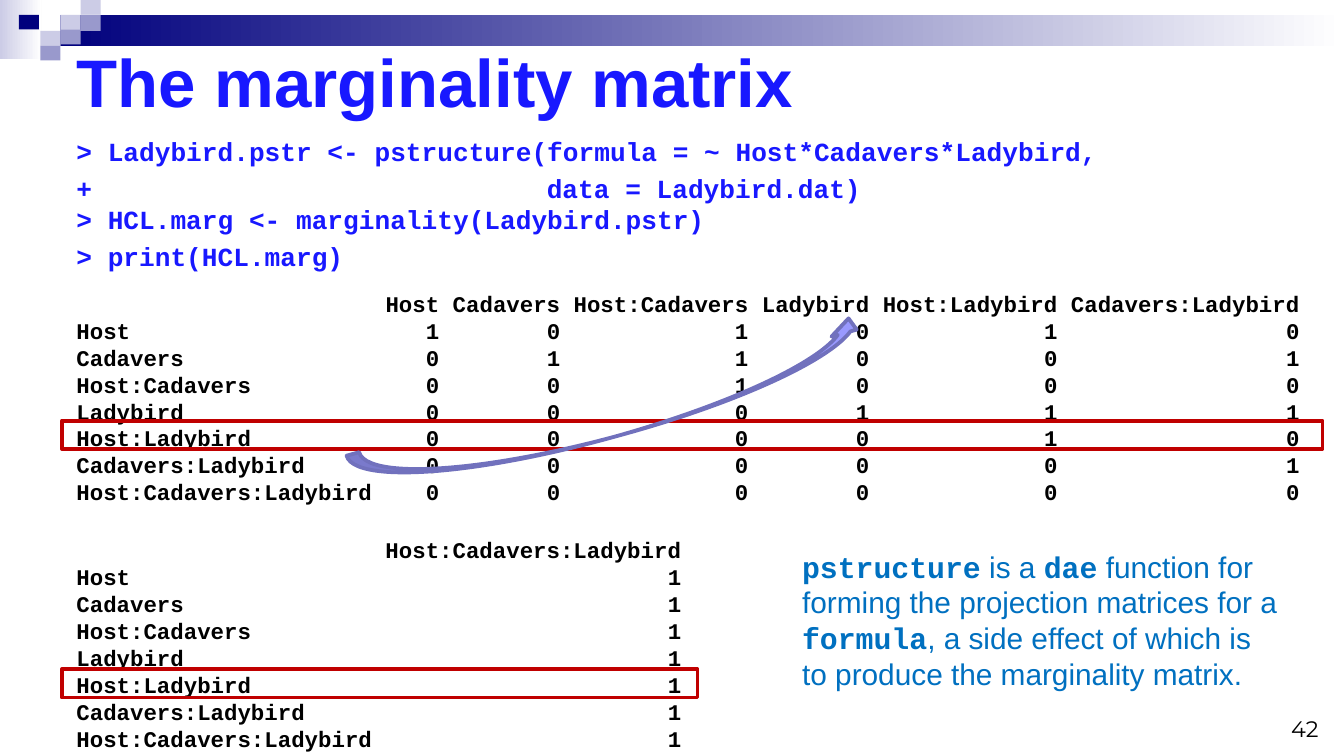
from pptx import Presentation
from pptx.dml.color import RGBColor
from pptx.enum.shapes import MSO_SHAPE
from pptx.enum.text import MSO_ANCHOR, MSO_AUTO_SIZE, PP_ALIGN
from pptx.oxml.ns import qn
from pptx.util import Inches, Pt
from lxml.etree import SubElement

BLACK = RGBColor(0, 0, 0)
WHITE = RGBColor(0xFF, 0xFF, 0xFF)
NAVY = RGBColor(0, 0, 0x7D)
PALE = RGBColor(0xCC, 0xCC, 0xE6)
LILAC = RGBColor(0x99, 0x99, 0xCC)
BLUE = RGBColor(0x18, 0x18, 0xFF)
AZURE = RGBColor(0, 0x70, 0xC0)
RED = RGBColor(0xC0, 0, 0)
VIOLET = RGBColor(0x99, 0x99, 0xFF)
EDGE = RGBColor(0x71, 0x71, 0xBD)
SANS, MONO = "Arial", "Courier New"

TERMS = ["Host", "Cadavers", "Host:Cadavers", "Ladybird", "Host:Ladybird",
         "Cadavers:Ladybird", "Host:Cadavers:Ladybird"]
CODE = [
    "> Ladybird.pstr <- pstructure(formula = ~ Host*Cadavers*Ladybird,",
    "+\tdata = Ladybird.dat)\v> HCL.marg <- marginality(Ladybird.pstr)",
    "> print(HCL.marg)",
]
NOTE = [("pstructure", True), (" is a ", False), ("dae", True),
        (" function for forming the projection matrices for a ", False),
        ("formula", True),
        (", a side effect of which is to produce the marginality matrix.", False)]
TILES = [(0.45, 0.11, 0.12, PALE), (0.6, 0, 0.11, PALE), (0.6, 0.11, 0.12, LILAC),
         (0.3, 0.23, 0.11, PALE), (0.14, 0.11, 0.11, NAVY),
         (0.45, 0.22, 0.11, LILAC), (0.3, 0.34, 0.11, LILAC)]


def style(run, font=SANS, size=12, color=BLACK, bold=False):
    run.font.name = font
    run.font.size = Pt(size)
    run.font.color.rgb = color
    run.font.bold = bold


def write(par, text, align=PP_ALIGN.LEFT, before=0, pitch=None, **form):
    par.text = text
    par.alignment = align
    par.space_before = Pt(before)
    par.line_spacing = pitch and Pt(pitch)
    for run in par.runs:
        style(run, **form)


def set_tabs(par, stops, side):
    tabs = SubElement(par._p.get_or_add_pPr(), qn("a:tabLst"))
    for stop in stops:
        SubElement(tabs, qn("a:tab"), pos=str(Inches(stop)), algn=side)


def matrix(cols):
    rows = ["\t" + "\t".join(cols)]
    for term in TERMS:
        parts = set(term.split(":"))
        marks = [str(int(parts <= set(col.split(":")))) for col in cols]
        rows.append("\t".join([term] + marks))
    return "\v".join(rows)


def col_ends(cols):
    start = len(TERMS[-1]) + 1
    return [(start + len("_".join(cols[:n + 1]))) / 10 for n in range(len(cols))]


class Deck:
    def __init__(self):
        self.show = Presentation()
        self.show.slide_width = Inches(10)
        self.show.slide_height = Inches(10 * 9 / 16)
        self.slide = self.show.slides.add_slide(self.show.slide_layouts[5])

    def shape(self, kind, box, fill=None, line=None, turn=0):
        item = self.slide.shapes.add_shape(kind, *map(Inches, box))
        item.shadow.inherit = False
        item.rotation = turn
        if fill is None:
            item.fill.background()
        else:
            item.fill.solid()
            item.fill.fore_color.rgb = fill
        if line is None:
            item.line.fill.background()
        else:
            item.line.color.rgb = line
            item.line.width = Pt(2)
        return item

    def fade(self, box, color):
        fill = self.shape(MSO_SHAPE.RECTANGLE, box).fill
        fill.gradient()
        fill.gradient_angle = 0
        for stop, tone in zip(fill.gradient_stops, (color, WHITE)):
            stop.color.rgb = tone

    def title(self, text, box, **form):
        item = self.slide.shapes.title
        item.left, item.top, item.width, item.height = map(Inches, box)
        item.text_frame.auto_size = MSO_AUTO_SIZE.NONE
        item.text_frame.vertical_anchor = MSO_ANCHOR.MIDDLE
        write(item.text_frame.paragraphs[0], text, **form)

    def text(self, box, anchor=MSO_ANCHOR.TOP):
        frame = self.slide.shapes.add_textbox(*map(Inches, box)).text_frame
        frame.word_wrap = True
        frame.vertical_anchor = anchor
        return frame

    def code(self, box, blocks, size, color, gaps, stops, side):
        frame = self.text(box)
        for n, block in enumerate(blocks):
            par = frame.add_paragraph() if n else frame.paragraphs[0]
            write(par, block, before=gaps[n], pitch=size * 1.2,
                  font=MONO, size=size, color=color, bold=True)
            if "\t" in block:
                set_tabs(par, stops[n], side)


def main():
    deck = Deck()
    deck.fade((0, 0, 0.31, 0.44), PALE)
    deck.fade((0.45, 0.11, 9.55, 0.23), NAVY)
    for left, top, height, color in TILES:
        deck.shape(MSO_SHAPE.RECTANGLE, (left, top, 0.15, height), color)

    wide, last = TERMS[:-1], TERMS[-1:]
    deck.code((0.47, 2.11, 9.45, 3.59), [matrix(wide), matrix(last)], 12, BLACK,
              [2.4, 16.8], [col_ends(wide), col_ends(last)], "r")
    deck.title("The marginality matrix", (0.47, 0.33, 9.45, 0.54),
               size=36, color=BLUE, bold=True)
    deck.code((0.47, 0.96, 9.45, 1.07), CODE, 14, BLUE,
              [2.8] * 3, [[3.5]] * 3, "l")

    page = deck.text((7.58, 5.19, 2.33, 0.38), MSO_ANCHOR.BOTTOM)
    write(page.paragraphs[0], "42", align=PP_ALIGN.RIGHT, font="Montserrat")

    note = deck.text((5.87, 4.03, 3.78, 1.18)).paragraphs[0]
    for text, term in NOTE:
        run = note.add_run()
        run.text = text
        style(run, MONO if term else SANS, 16, AZURE, term)

    for top, width in ((3.13, 9.38), (4.98, 4.73)):
        deck.shape(MSO_SHAPE.RECTANGLE, (0.46, top, width, 0.21), line=RED)
    deck.shape(MSO_SHAPE.CURVED_UP_ARROW, (2.56, 2.86, 3.97, 0.39),
               VIOLET, EDGE, 344.7)
    deck.show.save("out.pptx")


if __name__ == "__main__":
    main()
